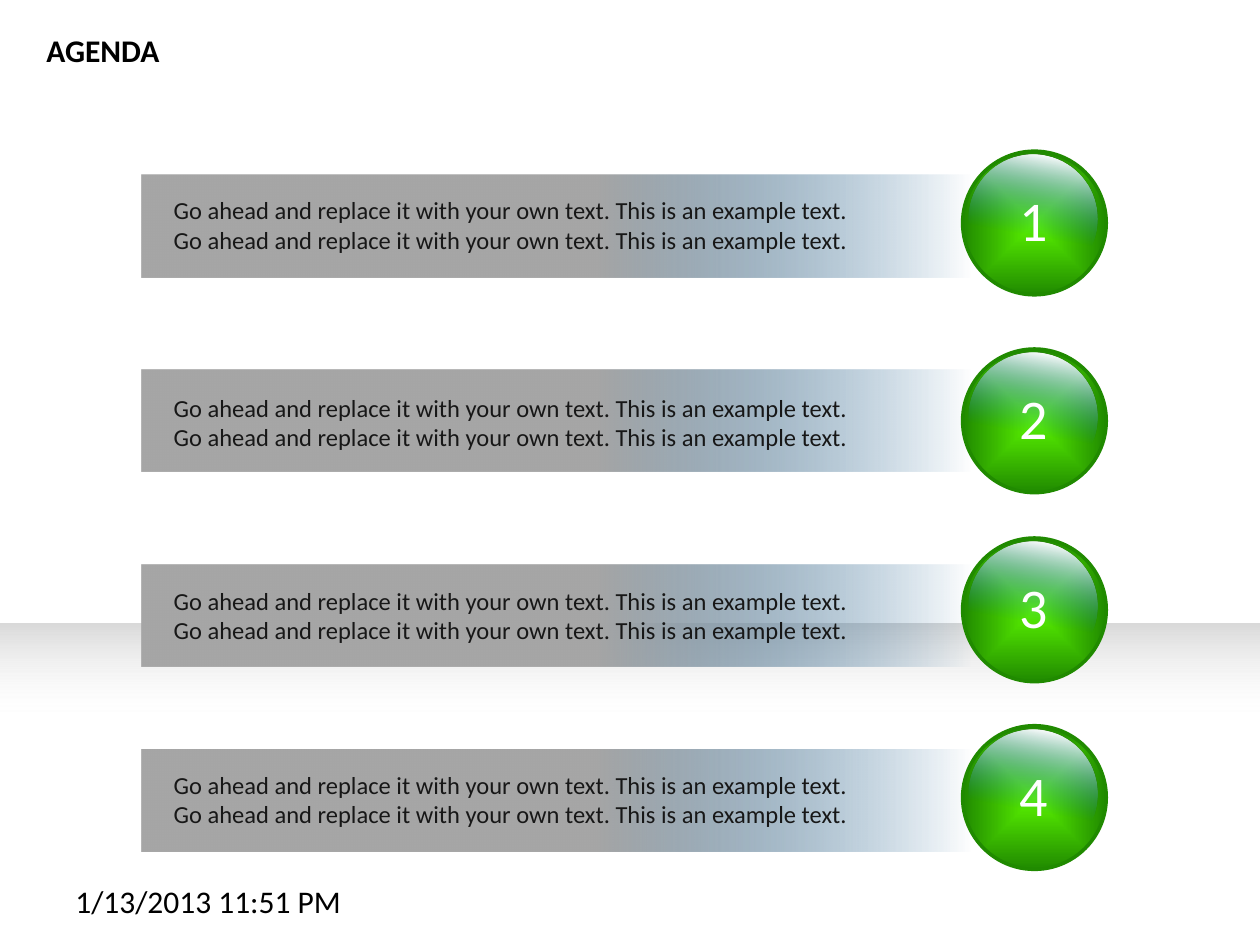
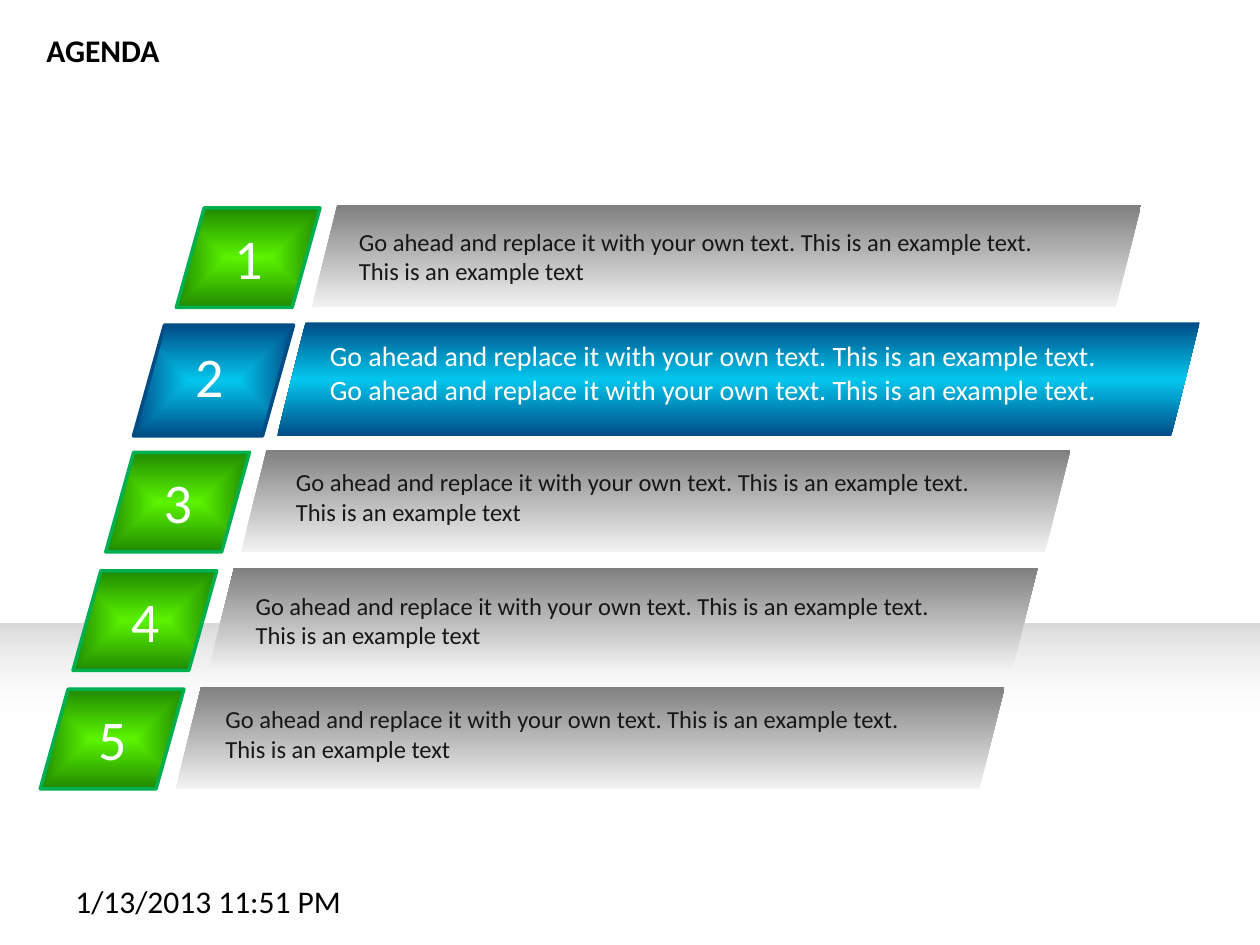
from dataclasses import dataclass
from typing import NamedTuple, Optional

from pptx import Presentation
from pptx.dml.color import RGBColor
from pptx.enum.shapes import MSO_SHAPE as Preset
from pptx.enum.text import MSO_AUTO_SIZE as AutoSize
from pptx.oxml import parse_xml
from pptx.oxml.ns import nsdecls, qn
from pptx.shapes.autoshape import Shape
from pptx.slide import Slide
from pptx.util import Inches, Pt

# The slide is a grid of 20 columns by 15 rows of square cells.
WIDTH, HEIGHT = Inches(10), Inches(7.5)
COLUMNS, ROWS = 20, 15
FONT = "Calibri"
COLORS = {
    "white": "FFFFFF", "black": "000000", "ink": "171717",
    "horizon": "D9D9D9", "bar": "A6A6A6", "mist": "F2F2F2", "steel": "808080",
    "lime": "5AF300", "green": "208A00", "edge": "00B050",
    "cyan": "03C6ED", "navy": "004D86", "gloss": "0070C0",
}
SENTENCE = "Go ahead and replace it with your own text. This is an example text."
TWO_LINES = [SENTENCE, SENTENCE]
LONG_LINE = [SENTENCE + " This is an example text"]


class Box(NamedTuple):
    """Left and width in columns, top and height in rows."""
    left: float
    top: float
    width: float
    height: float

    def lengths(self) -> tuple[int, int, int, int]:
        column, row = WIDTH / COLUMNS, HEIGHT / ROWS
        return (round(self.left * column), round(self.top * row),
                round(self.width * column), round(self.height * row))


class Stop(NamedTuple):
    percent: int
    color: str
    opaque: bool = True


@dataclass(frozen=True)
class Gradient:
    """Linear at an angle, or spreading from the centre when angle is None."""
    stops: tuple[Stop, ...]
    angle: Optional[int] = None


@dataclass(frozen=True)
class TextStyle:
    size: int
    color: str
    bold: bool = False


class BallRow(NamedTuple):
    ball_top: float
    bar_top: float
    text_top: float


@dataclass(frozen=True)
class TileStyle:
    """Looks and sizes of one slanted row; offsets run from the tile's corner."""
    tile_size: tuple[float, float]
    bar_size: tuple[float, float]
    bar_offset: float
    digit_offset: tuple[float, float]
    text_size: tuple[float, float]
    tile_fill: Gradient
    bar_fill: Gradient
    edge: str
    text: TextStyle


class TileRow(NamedTuple):
    left: float
    top: float
    text_left: float
    text_top: float
    style: TileStyle
    lines: list[str]


TITLE = TextStyle(18, "black", bold=True)
DATE = TextStyle(18, "black")
DIGIT = TextStyle(32, "white")
BODY = TextStyle(14, "ink")
STRONG_BODY = TextStyle(16, "white")

HORIZON = Gradient((Stop(61, "white", False), Stop(100, "horizon")), 270)
GREEN_GLOW = Gradient((Stop(0, "lime"), Stop(100, "green")))
BLUE_GLOW = Gradient((Stop(0, "cyan"), Stop(100, "navy")))
GLOSS = Gradient((Stop(6, "white"), Stop(61, "gloss", False)), 100)
FADING_BAR = Gradient((Stop(55, "bar"), Stop(100, "navy", False)), 0)
GRAY_BAR = Gradient((Stop(0, "mist"), Stop(100, "steel")), 270)
BLUE_BAR = Gradient((Stop(0, "navy"), Stop(50, "cyan"), Stop(100, "navy")), 270)

BALL_ROWS = [
    BallRow(2.4, 2.78, 3),
    BallRow(5.54, 5.86, 6.14),
    BallRow(8.54, 8.96, 9.2),
    BallRow(11.52, 11.9, 12.12),
]

PLAIN = TileStyle((2.28, 1.58), (13.16, 1.62), 2.15, (0.72, 0.15), (11.82, 1.14),
                  GREEN_GLOW, GRAY_BAR, "edge", BODY)
ACTIVE = TileStyle((2.54, 1.76), (14.64, 1.8), 2.28, (0.78, 0.16), (13.14, 1.82),
                   BLUE_GLOW, BLUE_BAR, "navy", STRONG_BODY)
TILE_ROWS = [
    TileRow(2.8, 3.3, 5.5, 3.5, PLAIN, LONG_LINE),
    TileRow(2.12, 5.16, 5.04, 5.28, ACTIVE, TWO_LINES),
    TileRow(1.68, 7.18, 4.5, 7.32, PLAIN, LONG_LINE),
    TileRow(1.16, 9.06, 3.86, 9.28, PLAIN, LONG_LINE),
    TileRow(0.64, 10.94, 3.38, 11.08, PLAIN, LONG_LINE),
]


def rgb(name: str) -> RGBColor:
    return RGBColor.from_string(COLORS[name])


def fill_gradient(shape: Shape, gradient: Gradient) -> None:
    stops = "".join(
        f'<a:gs pos="{stop.percent * 1000}"><a:srgbClr val="{COLORS[stop.color]}">'
        + ("" if stop.opaque else '<a:alpha val="0"/>')
        + "</a:srgbClr></a:gs>"
        for stop in gradient.stops)
    if gradient.angle is None:
        course = ('<a:path path="shape"><a:fillToRect l="50000" t="50000" '
                  'r="50000" b="50000"/></a:path>')
    else:
        course = f'<a:lin ang="{gradient.angle * 60000}" scaled="0"/>'
    shape.fill.background()
    properties = shape._element.spPr
    properties.replace(properties.find(qn("a:noFill")), parse_xml(
        f'<a:gradFill {nsdecls("a")} rotWithShape="1">'
        f"<a:gsLst>{stops}</a:gsLst>{course}</a:gradFill>"))


def add_filled(shapes, preset: Preset, box: Box, gradient: Gradient,
               edge: Optional[str] = None) -> Shape:
    shape = shapes.add_shape(preset, *box.lengths())
    shape.shadow.inherit = False
    fill_gradient(shape, gradient)
    if edge:
        shape.line.color.rgb = rgb(edge)
        shape.line.width = Pt(2)
    else:
        shape.line.fill.background()
    return shape


def add_text(shapes, box: Box, lines: list[str], style: TextStyle) -> None:
    frame = shapes.add_textbox(*box.lengths()).text_frame
    frame.word_wrap = True
    frame.auto_size = AutoSize.SHAPE_TO_FIT_TEXT
    frame.text = "\n".join(lines)
    for paragraph in frame.paragraphs:
        paragraph.font.name = FONT
        paragraph.font.size = Pt(style.size)
        paragraph.font.bold = style.bold
        paragraph.font.color.rgb = rgb(style.color)


def add_agenda_slide(presentation) -> Slide:
    """Add a blank slide with the shared horizon band, title and date."""
    slide = presentation.slides.add_slide(presentation.slide_layouts[6])
    add_filled(slide.shapes, Preset.RECTANGLE, Box(0, 9.9, COLUMNS, 4.04), HORIZON)
    add_text(slide.shapes, Box(0.54, 0.4, 2.48, 0.8), ["AGENDA"], TITLE)
    add_text(slide.shapes, Box(1, 13.9, 4.66, 0.8), ["1/13/2013 11:51 PM"], DATE)
    return slide


def add_ball_row(slide: Slide, number: int, row: BallRow) -> None:
    add_filled(slide.shapes, Preset.RECTANGLE, Box(2.24, row.bar_top, 13.16, 1.62),
               FADING_BAR)
    add_text(slide.shapes, Box(2.56, row.text_top, 12.5, 1.14), TWO_LINES, BODY)
    ball = slide.shapes.add_group_shape().shapes
    add_filled(ball, Preset.OVAL, Box(15.28, row.ball_top, 2.28, 2.28),
               GREEN_GLOW, "green")
    add_filled(ball, Preset.OVAL, Box(15.38, row.ball_top + 0.06, 2.04, 2.04), GLOSS)
    add_text(ball, Box(15.98, row.ball_top + 0.45, 1.06, 1.28), [str(number)], DIGIT)


def add_tile_row(slide: Slide, number: int, row: TileRow) -> None:
    style = row.style
    add_filled(slide.shapes, Preset.PARALLELOGRAM,
               Box(row.left + style.bar_offset, row.top - 0.04, *style.bar_size),
               style.bar_fill)
    add_text(slide.shapes, Box(row.text_left, row.text_top, *style.text_size),
             row.lines, style.text)
    tile = slide.shapes.add_group_shape().shapes
    slab = add_filled(tile, Preset.PARALLELOGRAM,
                      Box(row.left, row.top, *style.tile_size),
                      style.tile_fill, style.edge)
    slab.adjustments[0] = 0.28
    across, down = style.digit_offset
    add_text(tile, Box(row.left + across, row.top + down, 0.9, 1.28),
             [str(number)], DIGIT)


def main() -> None:
    presentation = Presentation()
    presentation.slide_width, presentation.slide_height = WIDTH, HEIGHT
    for add_row, rows in ((add_ball_row, BALL_ROWS), (add_tile_row, TILE_ROWS)):
        slide = add_agenda_slide(presentation)
        for number, row in enumerate(rows, start=1):
            add_row(slide, number, row)
    presentation.save("out.pptx")


if __name__ == "__main__":
    main()
